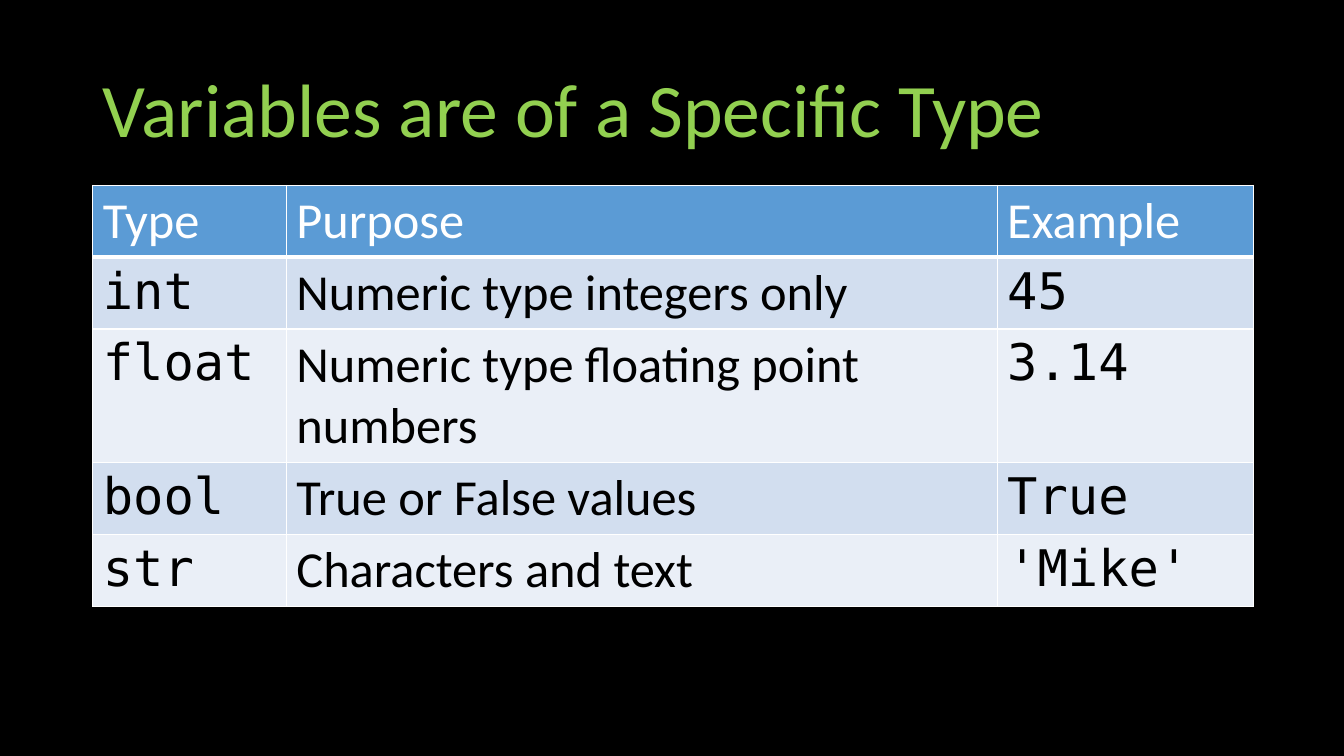
from lxml.etree import SubElement
from pptx import Presentation
from pptx.dml.color import RGBColor as RGB
from pptx.enum.text import MSO_ANCHOR as Anchor, PP_ALIGN as Align
from pptx.oxml.ns import qn
from pptx.util import Inches, Pt

SANS, MONO = "Calibri", "DejaVu Sans Mono"


def style(para, size, face, color):
    font = para.font
    font.size, font.name, font.bold = Pt(size), face, False
    font.color.rgb = RGB.from_string(color)


def border(cell, side, width):
    line = SubElement(cell._tc.get_or_add_tcPr(), qn("a:ln" + side), w=str(Pt(width)))
    fill = SubElement(line, qn("a:solidFill"))
    SubElement(fill, qn("a:srgbClr"), val="FFFFFF")


prs = Presentation()
prs.slide_width, prs.slide_height = Inches(13.33), Inches(7.5)
slide = prs.slides.add_slide(prs.slide_layouts[5])
back = slide.background.fill
back.solid()
back.fore_color.rgb = RGB.from_string("000000")

# Title
title = slide.shapes.title
title.left, title.top = Inches(0.92), Inches(0.4)
title.width, title.height = Inches(11.5), Inches(1.45)
frame = title.text_frame
frame.text = "Variables are of a Specific Type"
frame.vertical_anchor = Anchor.MIDDLE
para = frame.paragraphs[0]
para.alignment, para.line_spacing = Align.LEFT, 0.9
style(para, 54, SANS, "92D050")

# Table of types
rows = [
    ("Type", "Purpose", "Example"),
    ("int", "Numeric type integers only", "45"),
    ("float", "Numeric type floating point numbers", "3.14"),
    ("bool", "True or False values", "True"),
    ("str", "Characters and text", "'Mike'"),
]
table = slide.shapes.add_table(
    len(rows), 3, Inches(0.92), Inches(1.84), Inches(11.5), Inches(2.05)
).table
for col, width in zip(table.columns, (1.92, 7.05, 2.54)):
    col.width = Inches(width)

for r, row in enumerate(rows):
    head = r == 0
    shade = "5B9BD5" if head else ("EAEFF7", "D2DEEF")[r % 2]
    for c, text in enumerate(row):
        cell = table.cell(r, c)
        cell.text = text
        face = SANS if head or c == 1 else MONO
        style(cell.text_frame.paragraphs[0], 36, face, "FFFFFF" if head else "000000")
        for side in "LRTB":
            border(cell, side, 3 if head and side == "B" else 1)
        cell.fill.solid()
        cell.fill.fore_color.rgb = RGB.from_string(shade)

prs.save("out.pptx")
